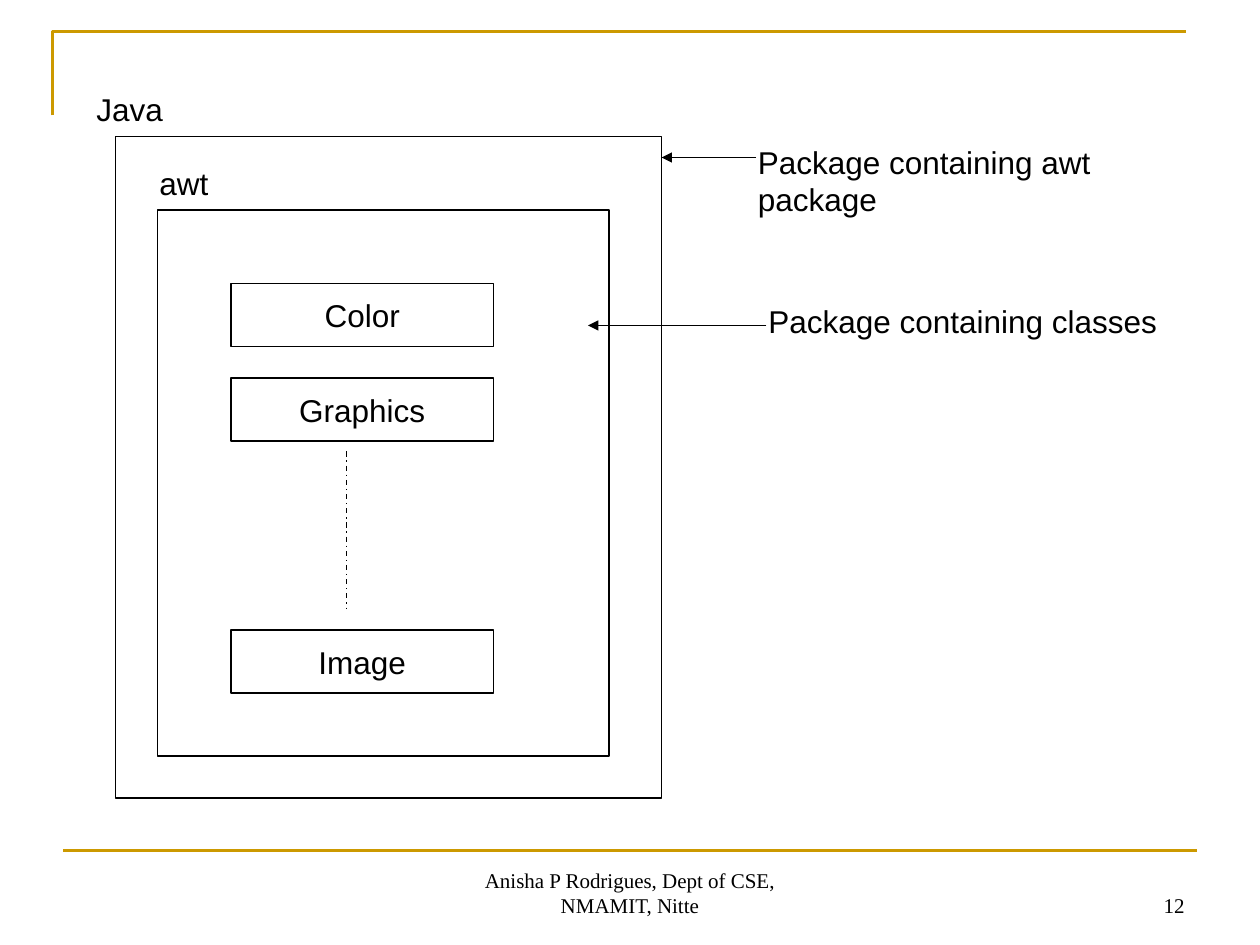
import lxml.etree
import pptx
import pptx.dml.color
import pptx.enum.dml
import pptx.enum.shapes
import pptx.enum.text
import pptx.oxml.ns
import pptx.util

ALIGN = pptx.enum.text.PP_ALIGN
ANCHOR = pptx.enum.text.MSO_ANCHOR
COLORS = {"ink": "000000", "paper": "FFFFFF", "gold": "CC9900"}
CELL = pptx.util.Inches(1) / 12  # the slide is a grid of 120 columns and 90 rows
LABEL = {"name": "Arial", "size": pptx.util.Pt(18)}
FOOTER = {"name": "Times New Roman", "size": pptx.util.Pt(12)}


def color(name):
    return pptx.dml.color.RGBColor.from_string(COLORS[name])


def grid(*cells):
    return [pptx.util.Emu(round(cell * CELL)) for cell in cells]


def set_line(shape, name, width):
    shape.line.color.rgb = color(name)
    shape.line.width = pptx.util.Pt(width)


def write_text(shape, text, font, align, anchor, wrap=True):
    frame = shape.text_frame
    frame.word_wrap = wrap
    frame.vertical_anchor = anchor
    paragraph = frame.paragraphs[0]
    paragraph.text = text
    paragraph.alignment = align
    for attribute, value in font.items():
        setattr(paragraph.font, attribute, value)
    paragraph.font.color.rgb = color("ink")


def add_text(slide, text, area, font=LABEL, align=ALIGN.LEFT, anchor=ANCHOR.TOP):
    write_text(slide.shapes.add_textbox(*grid(*area)), text, font, align, anchor)


def add_box(slide, area, text=None):
    rectangle = pptx.enum.shapes.MSO_SHAPE.RECTANGLE
    shape = slide.shapes.add_shape(rectangle, *grid(*area))
    shape.shadow.inherit = False
    shape.fill.solid()
    shape.fill.fore_color.rgb = color("paper")
    set_line(shape, "ink", 0.75)
    if text:
        write_text(shape, text, LABEL, ALIGN.CENTER, ANCHOR.MIDDLE, wrap=False)


def add_line(slide, ends, name="ink", width=0.75, dash=None, arrow=False):
    straight = pptx.enum.shapes.MSO_CONNECTOR.STRAIGHT
    connector = slide.shapes.add_connector(straight, *grid(*ends))
    set_line(connector, name, width)
    if dash:
        connector.line.dash_style = dash
    if arrow:
        lxml.etree.SubElement(connector.line._get_or_add_ln(),
                              pptx.oxml.ns.qn("a:tailEnd"), type="triangle")
    lxml.etree.SubElement(connector._element.spPr, pptx.oxml.ns.qn("a:effectLst"))


def add_corner(slide, points):
    start, *others = [grid(*point) for point in points]
    builder = slide.shapes.build_freeform(*start)
    builder.add_line_segments(others, close=False)
    shape = builder.convert_to_shape()
    shape.shadow.inherit = False
    shape.fill.background()
    set_line(shape, "gold", 1.5)


def add_page_frame(slide):
    add_corner(slide, [(5, 11), (5, 3), (113, 3)])
    add_line(slide, (6, 81, 114, 81), "gold", 1.5)
    add_text(slide, "12", (86, 82, 28, 6), FOOTER, ALIGN.RIGHT, ANCHOR.BOTTOM)
    add_text(slide, "Anisha P Rodrigues, Dept of CSE, NMAMIT, Nitte",
             (41, 82, 38, 6), FOOTER, ALIGN.CENTER, ANCHOR.BOTTOM)


def add_packages(slide):
    for area in [(11, 13, 52, 63), (15, 20, 43, 52)]:
        add_box(slide, area)
    for name, row in [("Color", 27), ("Graphics", 36), ("Image", 60)]:
        add_box(slide, (22, row, 25, 6), name)
    add_line(slide, (33, 43, 33, 58), dash=pptx.enum.dml.MSO_LINE.DASH_DOT)
    add_text(slide, "Java", (8, 8, 24, 4.8))
    add_text(slide, "awt", (14, 15, 27, 4.8))


def add_callouts(slide):
    add_text(slide, "Package containing awt package", (71, 13, 42, 8.4))
    add_text(slide, "Package containing classes", (72, 28.2, 42, 4.8))
    for ends in [(72, 15, 63, 15), (73, 31, 56, 31)]:
        add_line(slide, ends, arrow=True)


def main():
    presentation = pptx.Presentation()
    presentation.slide_width, presentation.slide_height = grid(120, 90)
    slide = presentation.slides.add_slide(presentation.slide_layouts[6])
    add_page_frame(slide)
    add_packages(slide)
    add_callouts(slide)
    presentation.save("out.pptx")


if __name__ == "__main__":
    main()
